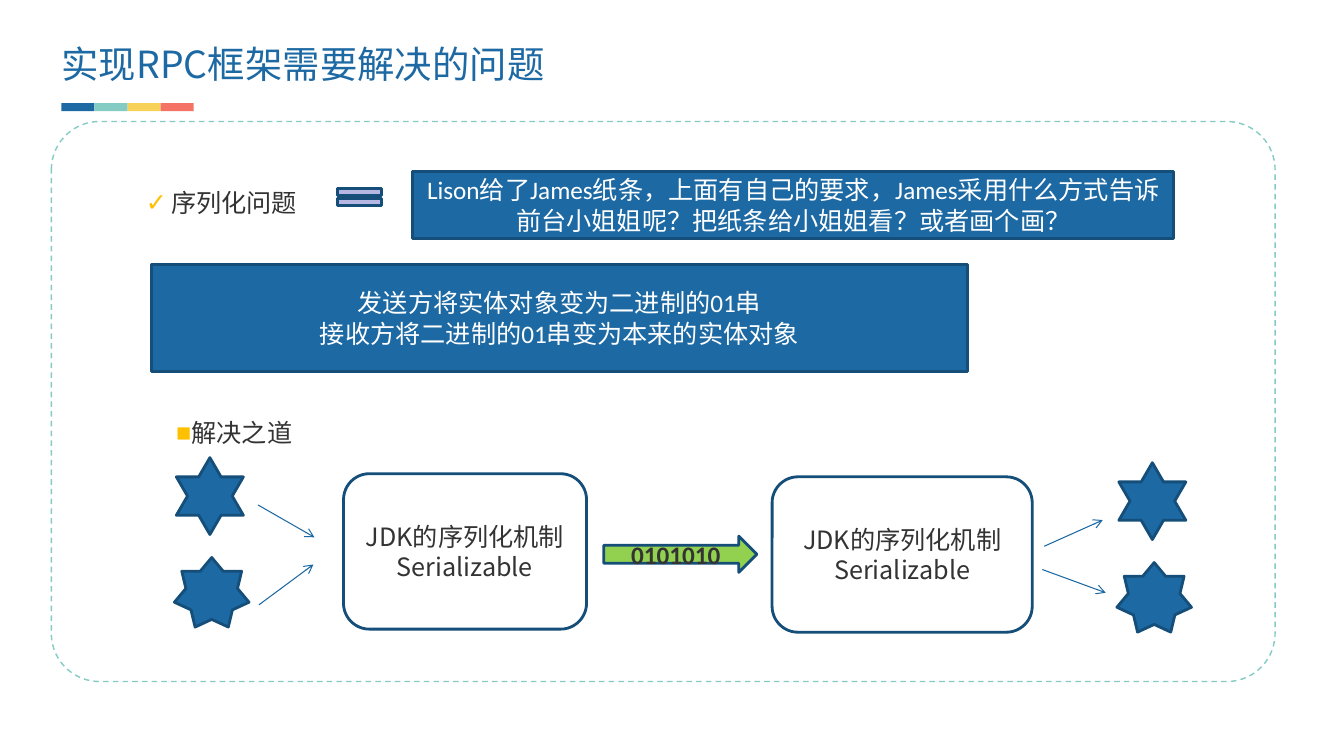
import pptx
import pptx.util
import pptx.dml.color
import pptx.enum.dml
import pptx.enum.shapes
import pptx.enum.text
import pptx.oxml
import pptx.oxml.ns
import lxml.etree

Pt = pptx.util.Pt
SHAPE = pptx.enum.shapes.MSO_SHAPE
ALIGN = pptx.enum.text.PP_ALIGN
ANCHOR = pptx.enum.text.MSO_ANCHOR
AUTO_SIZE = pptx.enum.text.MSO_AUTO_SIZE
CJK, LATIN = "Noto Sans CJK SC", "Calibri"
COLORS = {
    "blue": "1D69A3", "edge": "154E79", "arrow": "1967A3", "teal": "84CBC3",
    "yellow": "F8D158", "coral": "F57365", "bullet": "FFC000", "lilac": "B6B8E3",
    "green": "92D050", "text": "333333", "white": "FFFFFF",
}


def rgb(name):
    return pptx.dml.color.RGBColor.from_string(COLORS[name])


def add_child(parent, tag, **attributes):
    child = lxml.etree.SubElement(parent, pptx.oxml.ns.qn(tag))
    for key, value in attributes.items():
        child.set(key, value)
    return child


def write_text(frame, text, font=LATIN, size=18, color="white", bold=False,
               align=ALIGN.CENTER, anchor=ANCHOR.MIDDLE, wrap=True):
    frame.word_wrap = wrap
    frame.vertical_anchor = anchor
    paragraph = frame.paragraphs[0]
    paragraph.text = text
    paragraph.alignment = align
    for run in paragraph.runs:
        run.font.size = Pt(size)
        run.font.bold = bold
        run.font.name = font
        run.font.color.rgb = rgb(color)
        add_child(run.font._element, "a:ea", typeface=CJK)
    return paragraph


class SlideBuilder:
    def __init__(self, slide):
        self.slide = slide
        self.edge_width = 2

    def title(self, text, box):
        title = self.slide.shapes.title
        title.left, title.top, title.width, title.height = map(Pt, box)
        frame = title.text_frame
        frame.margin_left = frame.margin_right = 0
        frame.margin_top = frame.margin_bottom = 0
        write_text(frame, text, font=CJK, size=26.7, color="blue",
                   align=ALIGN.LEFT, anchor=ANCHOR.TOP)
        frame.auto_size = AUTO_SIZE.SHAPE_TO_FIT_TEXT

    def shape(self, kind, box, fill="blue", line="edge", width=None, text=None, **style):
        shape = self.slide.shapes.add_shape(kind, *map(Pt, box))
        shape.shadow.inherit = False
        if fill:
            shape.fill.solid()
            shape.fill.fore_color.rgb = rgb(fill)
        else:
            shape.fill.background()
        if line:
            shape.line.color.rgb = rgb(line)
            shape.line.width = Pt(width or self.edge_width)
        else:
            shape.line.fill.background()
        if text:
            write_text(shape.text_frame, text, **style)
        return shape

    def heading(self, text, box, mark, margin, indent, level, **style):
        label = self.slide.shapes.add_textbox(*map(Pt, box))
        paragraph = write_text(label.text_frame, text, color="text",
                               align=ALIGN.LEFT, anchor=ANCHOR.TOP, **style)
        label.text_frame.auto_size = AUTO_SIZE.SHAPE_TO_FIT_TEXT
        paragraph.level = level
        paragraph.line_spacing = 2.0
        properties = paragraph._p.get_or_add_pPr()
        properties.set("marL", str(Pt(margin)))
        properties.set("indent", str(Pt(indent)))
        mark_color = add_child(properties, "a:buClr")
        add_child(mark_color, "a:srgbClr", val=COLORS["bullet"])
        add_child(properties, "a:buFont", typeface="Arial")
        add_child(properties, "a:buChar", char=mark)

    def arrow(self, *ends):
        arrow = self.slide.shapes.add_connector(
            pptx.enum.shapes.MSO_CONNECTOR.STRAIGHT, *map(Pt, ends))
        arrow.line.color.rgb = rgb("arrow")
        arrow.line.width = Pt(0.75)
        add_child(arrow.line._get_or_add_ln(), "a:tailEnd", type="arrow")
        add_child(arrow._element.spPr, "a:effectLst")


def main():
    deck = pptx.Presentation()
    deck.slide_width, deck.slide_height = Pt(960), Pt(540)
    page = SlideBuilder(deck.slides.add_slide(deck.slide_layouts[5]))

    # Title and its four-colour bar
    page.title("实现RPC框架需要解决的问题", (43.9, 29.5, 384.5, 32.4))
    for index, color in enumerate(("blue", "teal", "yellow", "coral")):
        page.shape(SHAPE.RECTANGLE, (43.9 + 23.6 * index, 73.6, 23.6, 5.8),
                   fill=color, line=None)

    # Dashed frame
    content_frame = page.shape(SHAPE.ROUNDED_RECTANGLE, (36.7, 86.8, 874.1, 400),
                               fill=None, line="teal", width=1)
    content_frame.adjustments[0] = 0.086
    content_frame.line.dash_style = pptx.enum.dml.MSO_LINE.DASH

    # Serialization problem
    page.heading("序列化问题", (61.2, 108.7, 160.6, 44.6), "✓", 54, -18, 2, font=CJK)
    page.shape(SHAPE.MATH_EQUAL, (235.4, 130.6, 42.5, 20.2), fill="lilac")
    page.shape(SHAPE.RECTANGLE, (294.8, 122.4, 543.6, 47.9),
               text="Lison给了James纸条，上面有自己的要求，James采用什么方式告诉前台小姐姐呢？"
                    "把纸条给小姐姐看？或者画个画？")
    page.shape(SHAPE.RECTANGLE, (108, 188.8, 583.2, 76.5),
               text="发送方将实体对象变为二进制的01串\v接收方将二进制的01串变为本来的实体对象")

    # Solution: sender and receiver objects
    page.heading("解决之道", (82.8, 272.9, 137.5, 44.6), "■", 36, 0, 1, wrap=False)
    for dx, dy in ((0, 0), (673.2, 3.6)):
        page.shape(SHAPE.STAR_6_POINT, (126 + dx, 326.9 + dy, 47.9, 54.9))
        page.shape(SHAPE.STAR_7_POINT, (124.6 + dx, 398.2 + dy, 53.3, 49.7))

    # Serializers and the byte stream between them
    for box in ((245.4, 338.4, 173.6, 111), (551.5, 340.6, 185.8, 111)):
        page.shape(SHAPE.ROUNDED_RECTANGLE, box, fill="white",
                   text="JDK的序列化机制Serializable", font=CJK, color="text")
    page.shape(SHAPE.RIGHT_ARROW, (431.3, 383, 109.4, 25.9), fill="green",
               text="0101010", color="text", bold=True)

    # Arrows into and out of the serializers
    for ends in ((184.3, 360.7, 224.6, 383.8), (185, 432, 223.9, 403.2),
                 (745.9, 390.2, 787.7, 371.5), (744.5, 406.8, 789.8, 423.4)):
        page.arrow(*ends)

    deck.save("out.pptx")


if __name__ == "__main__":
    main()
